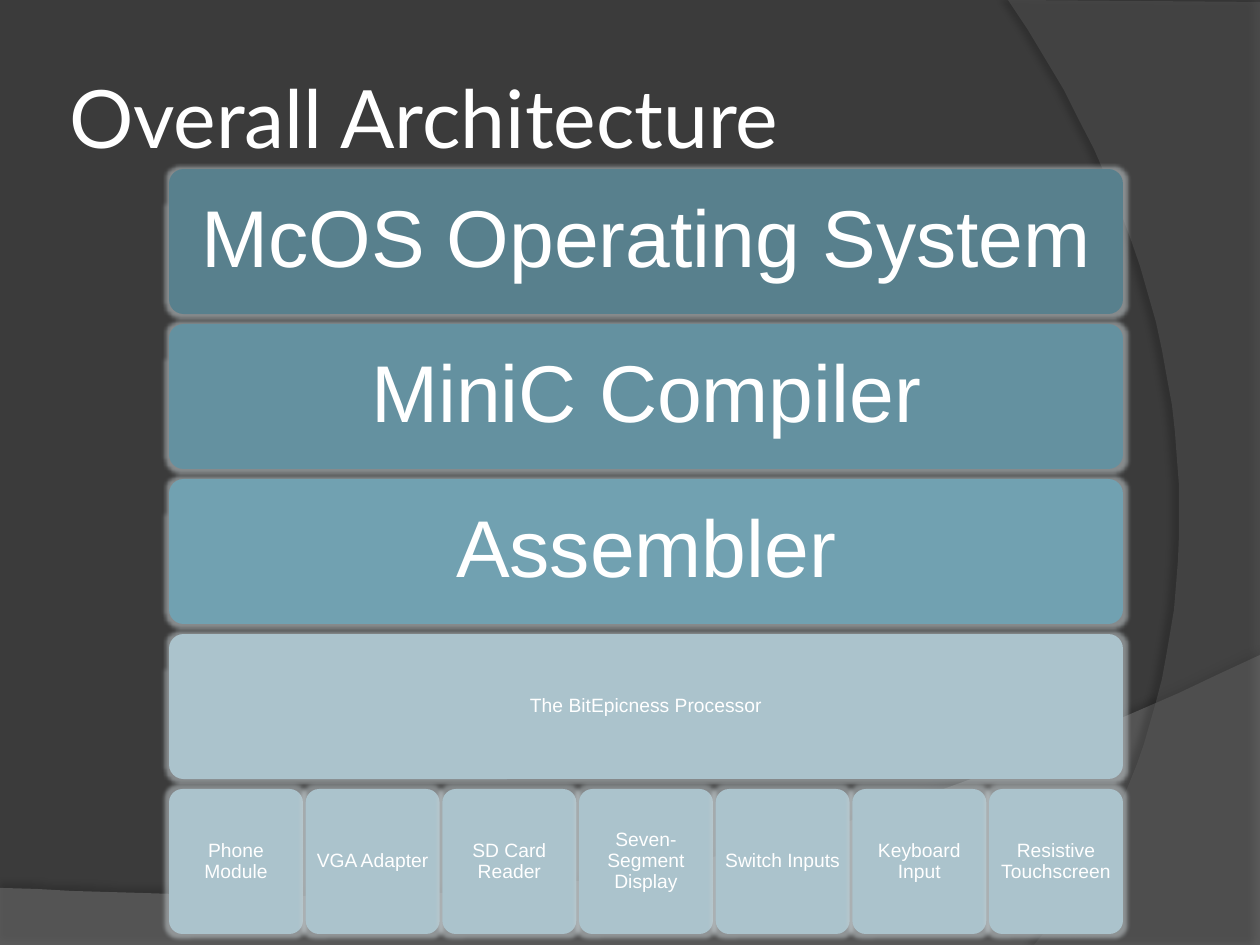
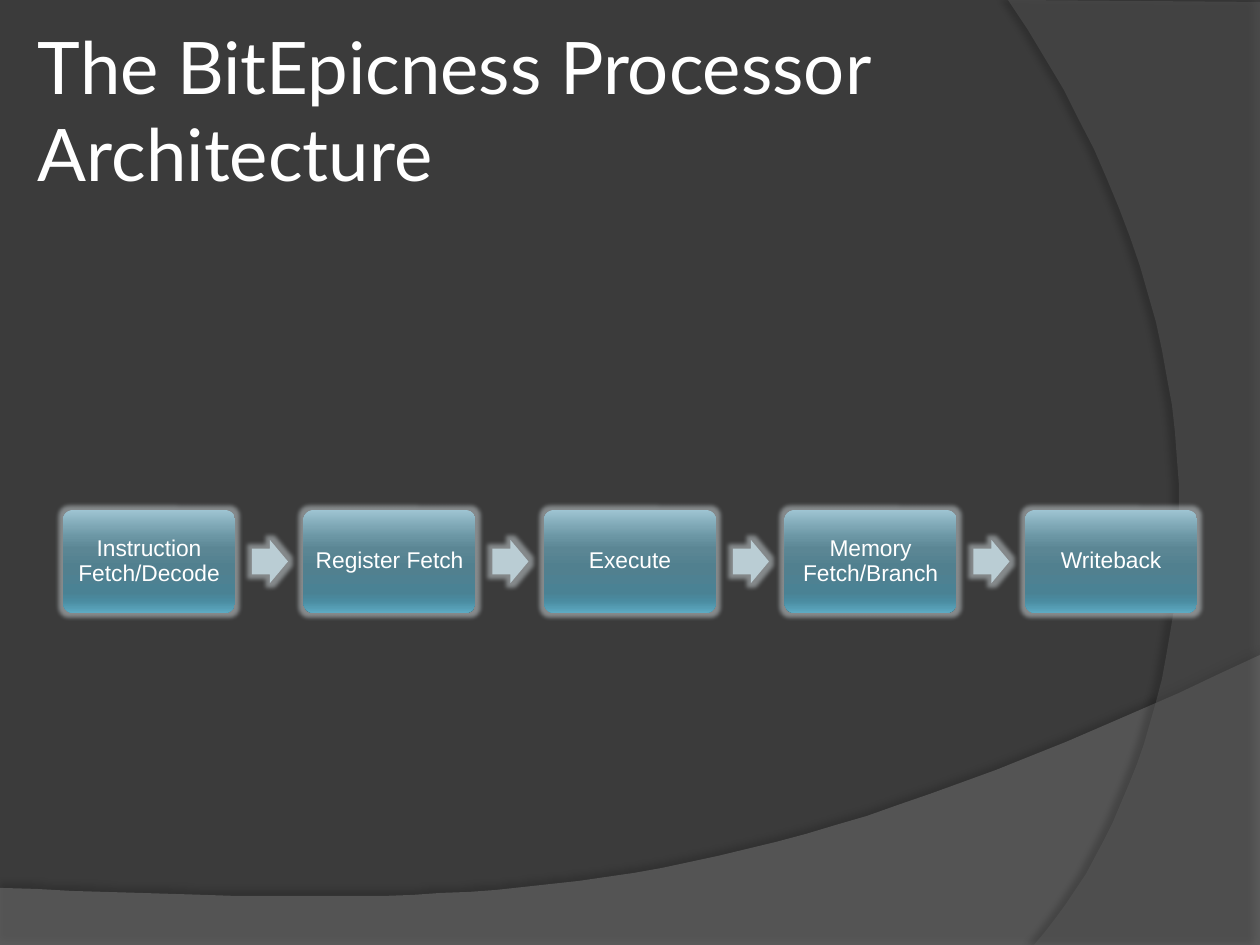
from dataclasses import dataclass
from lxml.etree import SubElement
from pptx import Presentation
from pptx.dml.color import RGBColor
from pptx.enum.shapes import MSO_SHAPE
from pptx.enum.text import MSO_ANCHOR, MSO_AUTO_SIZE, PP_ALIGN
from pptx.oxml import parse_xml
from pptx.oxml.ns import nsdecls, qn
from pptx.util import Pt


@dataclass(frozen=True)
class Theme:
    back: str = "3B3B3B"
    text: str = "FFFFFF"
    band: str = "7F7F7F"
    side: str = "5E5E5E"
    shade: str = "000000"
    glow: str = "C4CCCF"
    layers: tuple = ("58808D", "6491A0", "71A1B1")
    hardware: str = "ABC3CC"
    arrow: str = "BACDD4"
    gloss: tuple = ((0, "9EC4D2"), (25, "6C97A5"), (38, "5B8694"), (55, "51808F"),
                    (80, "4A8294"), (88, "4A8BA0"), (100, "5DAAC2"))
    title_font: str = "Lato"
    body_font: str = "Arial"
    large: float = 46
    two_line: float = 41.4
    stage: float = 13
    small: float = 11


T = Theme()
SCALE = 914400 / 126

ARCHITECTURE = {
    "title": "Overall Architecture",
    "layers": ["McOS Operating System", "MiniC Compiler", "Assembler"],
    "processor": "The BitEpicness Processor",
    "devices": ["Phone Module", "VGA Adapter", "SD Card Reader", "Seven-Segment Display",
                "Switch Inputs", "Keyboard Input", "Resistive Touchscreen"],
}
PIPELINE = {
    "title": "The BitEpicness Processor Architecture",
    "stages": ["Instruction Fetch/Decode", "Register Fetch", "Execute",
               "Memory Fetch/Branch", "Writeback"],
}
BACKDROP = [
    dict(line=[(0, 888), (0, 946), (1260, 946), (1260, 655)],
         curve=[(704, 919), (493, 906), (0, 888)],
         color=T.band, alpha=45, blur=4, dist=3.5, angle=270, shade=35),
    dict(line=[(1260, 2), (1260, 945), (1034, 945)],
         curve=[(1178, 780), (1283, 402), (1008, 0)],
         color=T.side, alpha=40, blur=4, dist=4, angle=180, shade=45),
]


def px(n):
    return round(n * SCALE)


def place(s, x, y, w, h):
    s.left, s.top, s.width, s.height = px(x), px(y), px(w), px(h)


def write(s, text, size, font=T.body_font, align=PP_ALIGN.CENTER, spacing=0.9, margin=5):
    tf = s.text_frame
    tf.word_wrap = True
    tf.auto_size = MSO_AUTO_SIZE.NONE
    tf.vertical_anchor = MSO_ANCHOR.MIDDLE
    tf.margin_left = tf.margin_right = tf.margin_top = tf.margin_bottom = px(margin)
    p = tf.paragraphs[0]
    p.alignment, p.line_spacing = align, spacing
    r = p.add_run()
    r.text = text
    r.font.size, r.font.name = Pt(size), font
    r.font.color.rgb = RGBColor.from_string(T.text)


def effect(s, kind, color, alpha, **attrs):
    s.shadow.inherit = False
    effects = s._element.spPr.find(qn("a:effectLst"))
    e = SubElement(effects, qn(f"a:{kind}"), {k: str(v) for k, v in attrs.items()})
    c = SubElement(e, qn("a:srgbClr"), val=color)
    SubElement(c, qn("a:alpha"), val=str(alpha * 1000))


def paint(s, color):
    s.fill.solid()
    s.fill.fore_color.rgb = RGBColor.from_string(color)
    s.line.fill.background()


def paint_gloss(s):
    s.line.fill.background()
    s.fill.background()
    stops = "".join(f'<a:gs pos="{at * 1000}"><a:srgbClr val="{c}"/></a:gs>' for at, c in T.gloss)
    pr = s._element.spPr
    pr.replace(pr.find(qn("a:noFill")), parse_xml(
        f'<a:gradFill {nsdecls("a")} rotWithShape="1"><a:gsLst>{stops}</a:gsLst>'
        '<a:lin ang="5400000" scaled="0"/></a:gradFill>'))


def add_glowing(slide, kind, box, color=None, adjust=(0.1,)):
    s = slide.shapes.add_shape(kind, *map(px, box))
    for i, value in enumerate(adjust):
        s.adjustments[i] = value
    if color:
        paint(s, color)
    else:
        paint_gloss(s)
    effect(s, "glow", T.glow, 55, rad=Pt(5))
    return s


def add_card(slide, text, box, size, color=None, margin=5):
    s = add_glowing(slide, MSO_SHAPE.ROUNDED_RECTANGLE, box, color)
    write(s, text, size, margin=margin)


def bezier(points, steps=40):
    for i in range(1, steps + 1):
        t = i / steps
        weights = ((1 - t) ** 3, 3 * t * (1 - t) ** 2, 3 * t * t * (1 - t), t ** 3)
        yield tuple(sum(w * p[axis] for w, p in zip(weights, points)) for axis in (0, 1))


def add_backdrop(slide, layout):
    for at, b in enumerate(BACKDROP, start=2):
        start, *rest = b["line"]
        fb = slide.shapes.build_freeform(*start, scale=SCALE)
        fb.add_line_segments(rest + list(bezier([b["line"][-1]] + b["curve"])), close=True)
        s = fb.convert_to_shape()
        paint(s, b["color"])
        SubElement(s._element.spPr.find(qn("a:solidFill"))[0], qn("a:alpha"),
                   val=str(b["alpha"] * 1000))
        effect(s, "outerShdw", T.shade, b["shade"], blurRad=Pt(b["blur"]),
               dist=Pt(b["dist"]), dir=b["angle"] * 60000, rotWithShape=0)
        layout.shapes.element.insert(at, s._element)


def add_titled(prs, layout, title, box, size):
    slide = prs.slides.add_slide(layout)
    place(slide.shapes.title, *box)
    write(slide.shapes.title, title, size, font=T.title_font, align=PP_ALIGN.LEFT,
          spacing=1.0, margin=6)
    return slide


def spread(left, width, item, count):
    step = (width - item) / (count - 1)
    return [left + i * step for i in range(count)]


def fill_architecture(slide, data):
    left, top, width, height, pitch = 169, 169, 954, 145, 155
    for i, (text, color) in enumerate(zip(data["layers"], T.layers)):
        add_card(slide, text, (left, top + i * pitch, width, height), T.large, color, margin=22)
    y = top + len(data["layers"]) * pitch
    add_card(slide, data["processor"], (left, y, width, height), T.small, T.hardware)
    w = 134
    for text, x in zip(data["devices"], spread(left, width, w, len(data["devices"]))):
        add_card(slide, text, (x, y + pitch, w, height), T.small, T.hardware)


def fill_pipeline(slide, data):
    top, w, h = 510, 172, 103
    arrow_w, arrow_h, gap = 36, 43, 17
    xs = spread(63, 1134, w, len(data["stages"]))
    for i, (text, x) in enumerate(zip(data["stages"], xs)):
        if i:
            box = (xs[i - 1] + w + gap, top + (h - arrow_h) / 2, arrow_w, arrow_h)
            add_glowing(slide, MSO_SHAPE.RIGHT_ARROW, box, T.arrow, (0.6, 0.5))
        add_card(slide, text, (x, top, w, h), T.stage)


prs = Presentation()
prs.slide_width, prs.slide_height = px(1260), px(945)
fill = prs.slide_master.background.fill
fill.solid()
fill.fore_color.rgb = RGBColor.from_string(T.back)
layout = prs.slide_layouts[5]

overview = add_titled(prs, layout, ARCHITECTURE["title"], (63, 38, 1029, 157), T.large)
add_backdrop(overview, layout)
fill_architecture(overview, ARCHITECTURE)

pipeline = add_titled(prs, layout, PIPELINE["title"], (32, 31, 1197, 157), T.two_line)
fill_pipeline(pipeline, PIPELINE)

prs.save("out.pptx")
